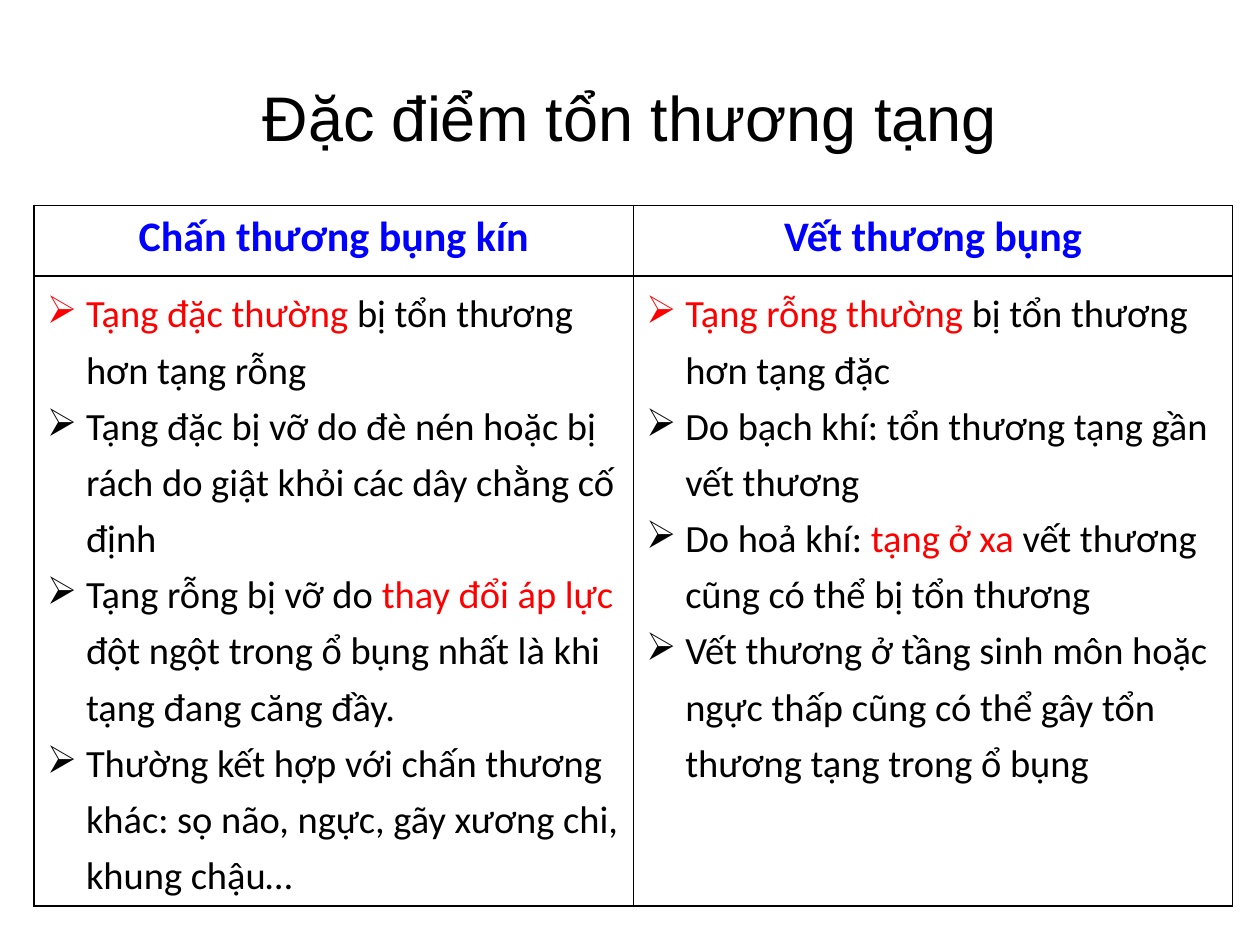
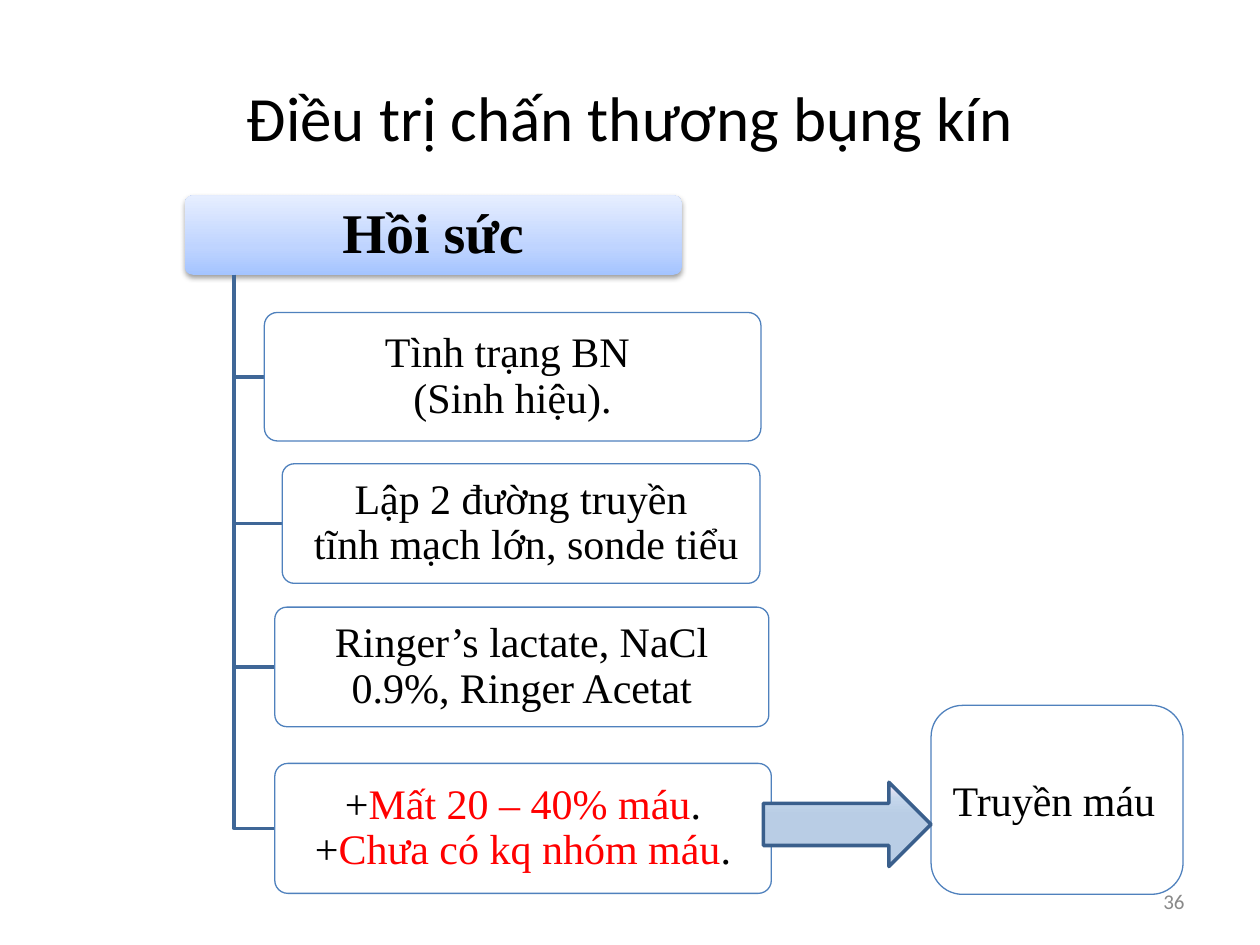
"""Build two slides on abdominal organ injuries and their treatment."""
from lxml import etree
from pptx import Presentation
from pptx import util as u
from pptx.dml.color import RGBColor
from pptx.enum import shapes, text
from pptx.oxml import ns, parse_xml

BLACK, RED, BLUE, WHITE = "000000", "FF0000", "0000FF", "FFFFFF"
CARD_LINE, BRANCH_LINE, ARROW_LINE, GREY = "4F81BD", "3F6797", "3A5F8C", "898989"
SANS, SERIF = "Calibri", "Times New Roman"
CENTER, LEFT, RIGHT = text.PP_ALIGN.CENTER, text.PP_ALIGN.LEFT, text.PP_ALIGN.RIGHT
ROUNDED = shapes.MSO_SHAPE.ROUNDED_RECTANGLE

INJURIES = {
    "Chấn thương bụng kín": [
        "*Tạng đặc thường *bị tổn thương hơn tạng rỗng",
        "Tạng đặc bị vỡ do đè nén hoặc bị rách do giật khỏi các dây chằng cố định",
        "Tạng rỗng bị vỡ do *thay đổi áp lực *đột ngột trong ổ bụng nhất là khi "
        "tạng đang căng đầy.",
        "Thường kết hợp với chấn thương khác: sọ não, ngực, gãy xương chi, khung chậu…",
    ],
    "Vết thương bụng": [
        "*Tạng rỗng thường *bị tổn thương hơn tạng đặc",
        "Do bạch khí: tổn thương tạng gần vết thương",
        "Do hoả khí: *tạng ở xa *vết thương cũng có thể bị tổn thương",
        "Vết thương ở tầng sinh môn hoặc ngực thấp cũng có thể gây tổn thương "
        "tạng trong ổ bụng",
    ],
}

STEPS = [
    ("Tình trạng BN \n(Sinh hiệu).", (5.33, 6.3, 10.01, 2.59)),
    ("Lập 2 đường truyền\n tĩnh mạch lớn, sonde tiểu", (5.69, 9.35, 9.63, 2.41)),
    ("Ringer’s lactate, NaCl 0.9%, Ringer Acetat", (5.54, 12.24, 9.96, 2.41)),
    ("+*Mất 20 – 40% máu*.\n+*Chưa có kq nhóm máu*.", (5.54, 15.39, 10.01, 2.62)),
]


def rgb(value):
    return RGBColor.from_string(value)


def cm(*lengths):
    return [u.Cm(length) for length in lengths]


def write(paragraph, content, size, font=SANS, color=BLACK, bold=False, align=LEFT):
    """Write content, with the parts between asterisks in red."""
    paragraph.alignment = align
    paragraph.font.size = u.Pt(size)
    paragraph.font.name = font
    paragraph.font.bold = bold
    for index, part in enumerate(content.split("*")):
        for row, line in enumerate(part.split("\n")):
            if row:
                paragraph.add_line_break()
            if line:
                run = paragraph.add_run()
                run.text = line
                run.font.color.rgb = rgb(RED if index % 2 else color)


def add_bullet(paragraph):
    properties = paragraph._p.get_or_add_pPr()
    properties.set("marL", str(u.Cm(0.79)))
    properties.set("indent", str(u.Cm(-0.79)))
    etree.SubElement(properties, ns.qn("a:buChar")).set("char", "➢")
    paragraph.line_spacing = 1.2


def add_titled_slide(deck, heading, font):
    slide = deck.slides.add_slide(deck.slide_layouts[5])
    title = slide.shapes.title
    title.left, title.top, title.width, title.height = cm(1.27, 0.76, 22.86, 3.18)
    title.text_frame.vertical_anchor = text.MSO_ANCHOR.MIDDLE
    write(title.text_frame.paragraphs[0], heading, 36, font, align=CENTER)
    return slide


def outline_cell(cell):
    properties = cell._tc.get_or_add_tcPr()
    for side in "LRTB":
        properties.append(parse_xml(
            f'<a:ln{side} {ns.nsdecls("a")} w="{u.Pt(1)}"><a:solidFill>'
            f'<a:srgbClr val="{BLACK}"/></a:solidFill></a:ln{side}>'))
    cell.fill.background()


def add_comparison(slide, columns):
    table = slide.shapes.add_table(
        2, len(columns), *cm(0.69, 4.14, 24.16, 13.82)).table
    table.first_row = table.horz_banding = False
    table.rows[0].height, table.rows[1].height = cm(1.42, 12.4)
    for index, (heading, points) in enumerate(columns.items()):
        table.columns[index].width = u.Cm(12.08)
        head, body = table.cell(0, index), table.cell(1, index)
        outline_cell(head)
        outline_cell(body)
        write(head.text_frame.paragraphs[0], heading, 24, color=BLUE,
              bold=True, align=CENTER)
        frame = body.text_frame
        for number, point in enumerate(points):
            paragraph = frame.add_paragraph() if number else frame.paragraphs[0]
            add_bullet(paragraph)
            write(paragraph, point, 22)


def set_gradient(shape, stops):
    """Fill the shape with a gradient that runs from bottom to top."""
    shape.fill.background()
    marks = "".join(f'<a:gs pos="{place * 1000}"><a:srgbClr val="{color}"/></a:gs>'
                    for place, color in stops)
    properties = shape._element.spPr
    properties.replace(properties.find(ns.qn("a:noFill")), parse_xml(
        f'<a:gradFill {ns.nsdecls("a")} rotWithShape="1"><a:gsLst>{marks}</a:gsLst>'
        '<a:lin ang="16200000" scaled="0"/></a:gradFill>'))


def add_shadow(shape):
    effects = shape._element.spPr.find(ns.qn("a:effectLst"))
    effects.append(parse_xml(
        f'<a:outerShdw {ns.nsdecls("a")} blurRad="{u.Pt(3.1)}" dist="{u.Pt(1.6)}" '
        f'dir="5400000" rotWithShape="0"><a:srgbClr val="{BLACK}">'
        '<a:alpha val="38000"/></a:srgbClr></a:outerShdw>'))


def set_line(shape, color, width):
    shape.line.color.rgb = rgb(color)
    shape.line.width = u.Pt(width)


def add_box(slide, place, content, size=24, bold=False):
    """Add a rounded box with tight insets and centred serif text."""
    box = slide.shapes.add_shape(ROUNDED, *cm(*place))
    box.shadow.inherit = False
    box.adjustments[0] = 0.1
    frame = box.text_frame
    frame.word_wrap = True
    frame.vertical_anchor = text.MSO_ANCHOR.MIDDLE
    frame.margin_left = frame.margin_right = u.Cm(0.13)
    frame.margin_top = frame.margin_bottom = u.Cm(0.08)
    paragraph = frame.paragraphs[0]
    paragraph.line_spacing = 0.9
    write(paragraph, content, size, SERIF, bold=bold, align=CENTER)
    return box


def add_header(slide, place, content):
    header = add_box(slide, place, content, 32, True)
    set_gradient(header, [(0, "A4C4FF"), (35, "BFD4FF"), (100, "E6EEFF")])
    header.line.fill.background()
    add_shadow(header)


def add_step(slide, place, content):
    step = add_box(slide, place, content)
    step.fill.solid()
    step.fill.fore_color.rgb = rgb(WHITE)
    color = step._element.spPr.find(ns.qn("a:solidFill"))[0]
    etree.SubElement(color, ns.qn("a:alpha")).set("val", "90000")
    set_line(step, CARD_LINE, 0.75)


def add_branch(slide, trunk, top, place):
    left, middle = place[0], place[1] + place[3] / 2
    builder = slide.shapes.build_freeform(*cm(trunk, top))
    builder.add_line_segments([cm(trunk, middle), cm(left, middle)], close=False)
    branch = builder.convert_to_shape()
    branch.shadow.inherit = False
    branch.fill.background()
    set_line(branch, BRANCH_LINE, 2)


def add_transfusion(slide):
    outcome = slide.shapes.add_shape(ROUNDED, *cm(18.77, 14.22, 5.08, 3.81))
    outcome.shadow.inherit = False
    outcome.fill.background()
    set_line(outcome, CARD_LINE, 0.75)
    outcome.text_frame.vertical_anchor = text.MSO_ANCHOR.MIDDLE
    write(outcome.text_frame.paragraphs[0], "Truyền máu", 24, SERIF)
    arrow = slide.shapes.add_shape(
        shapes.MSO_SHAPE.RIGHT_ARROW, *cm(15.39, 15.77, 3.38, 1.7))
    arrow.shadow.inherit = False
    set_gradient(arrow, [(62, "B9CDE5"), (81, "C4D6EB"), (100, "FFEBFA")])
    set_line(arrow, ARROW_LINE, 2)


def add_page_number(slide, number):
    frame = slide.shapes.add_textbox(*cm(18.21, 17.65, 5.92, 1.02)).text_frame
    frame.word_wrap = True
    frame.vertical_anchor = text.MSO_ANCHOR.MIDDLE
    write(frame.paragraphs[0], number, 12, color=GREY, align=RIGHT)


def main():
    deck = Presentation()
    deck.slide_width, deck.slide_height = cm(25.4, 19.05)

    injuries = add_titled_slide(deck, "Đặc điểm tổn thương tạng", "Arial")
    add_comparison(injuries, INJURIES)

    treatment = add_titled_slide(deck, "Điều trị chấn thương bụng kín", SANS)
    add_page_number(treatment, "36")
    add_header(treatment, (3.73, 3.94, 10.01, 1.6), "Hồi sức")
    for content, place in STEPS:
        add_branch(treatment, 4.72, 5.54, place)
        add_step(treatment, place, content)
    add_transfusion(treatment)

    deck.save("out.pptx")


if __name__ == "__main__":
    main()
